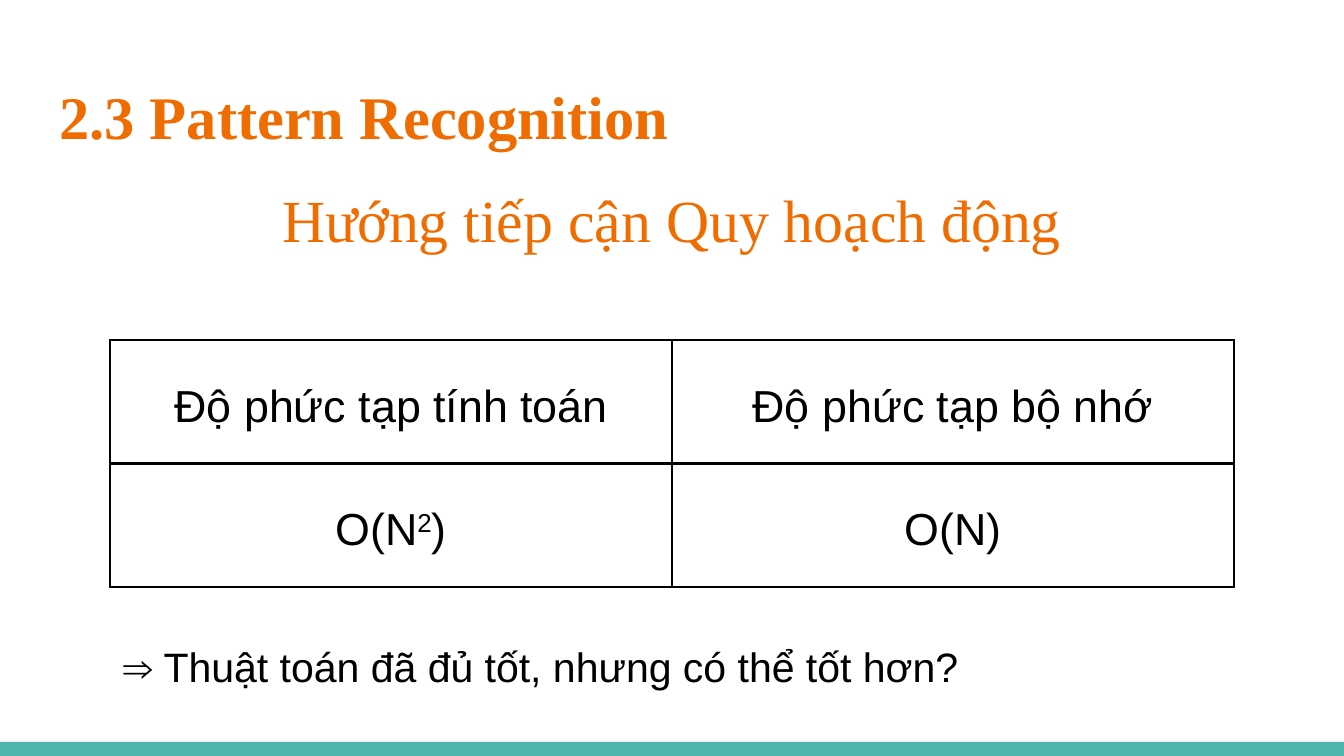
from pptx import Presentation
from pptx.dml.color import RGBColor
from pptx.enum import shapes, text
from pptx.oxml import parse_xml
from pptx.oxml.ns import nsdecls
from pptx.util import Inches, Pt

ORANGE = RGBColor(0xEF, 0x6C, 0x00)
TEAL = RGBColor(0x4D, 0xB6, 0xAC)
BLACK = RGBColor(0, 0, 0)


def write(tf, *parts, size=24, font="Arial", color=BLACK, bold=False,
          align=text.PP_ALIGN.LEFT, spacing=1.0):
    tf.word_wrap = True
    tf.margin_left = tf.margin_right = Inches(0.1)
    tf.margin_top = tf.margin_bottom = Inches(0.1)
    p = tf.paragraphs[0]
    p.alignment = align
    p.line_spacing = spacing
    for part in parts:
        r = p.add_run()
        r.text = part
        r.font.size = Pt(size)
        r.font.name = font
        r.font.bold = bold
        r.font.color.rgb = color
        if part == "2":
            r._r.get_or_add_rPr().set("baseline", "30000")


def border(cell):
    tcPr = cell._tc.get_or_add_tcPr()
    for i, side in enumerate(("lnL", "lnR", "lnT", "lnB")):
        tcPr.insert(i, parse_xml(
            f'<a:{side} {nsdecls("a")} w="{Pt(1.5)}"><a:solidFill>'
            f'<a:srgbClr val="{BLACK}"/></a:solidFill></a:{side}>'))


prs = Presentation()
prs.slide_width = Inches(10)
prs.slide_height = prs.slide_width * 9 // 16
s = prs.slides.add_slide(prs.slide_layouts[5])

bar = s.shapes.add_shape(shapes.MSO_SHAPE.RECTANGLE, Inches(0), Inches(5.52),
                         prs.slide_width, prs.slide_height - Inches(5.52))
bar.shadow.inherit = False
bar.fill.solid()
bar.fill.fore_color.rgb = TEAL
bar.line.fill.background()

title = s.shapes.title
title.left, title.top = Inches(0.34), Inches(0.49)
title.width, title.height = Inches(9.32), Inches(0.77)
title.text_frame.vertical_anchor = text.MSO_ANCHOR.TOP
write(title.text_frame, "2.3 Pattern Recognition", size=32.4,
      font="Times New Roman", color=ORANGE, bold=True)

rows = [
    [["Độ phức tạp tính toán"], ["Độ phức tạp bộ nhớ"]],
    [["O(N", "2", ")"], ["O(N)"]],
]
table = s.shapes.add_table(2, 2, Inches(0.82), Inches(2.53),
                           Inches(8.36), Inches(1.84)).table
table.first_row = table.horz_banding = False
for i, row in enumerate(rows):
    for j, parts in enumerate(row):
        cell = table.cell(i, j)
        cell.fill.background()
        cell.vertical_anchor = text.MSO_ANCHOR.MIDDLE
        cell.margin_left = cell.margin_right = Inches(0.1)
        cell.margin_top = cell.margin_bottom = Inches(0.1)
        write(cell.text_frame, *parts, align=text.PP_ALIGN.CENTER, spacing=1.2)
        border(cell)

conclusion = s.shapes.add_textbox(Inches(0.82), Inches(4.6),
                                  Inches(7.65), Inches(0.57))
write(conclusion.text_frame, "⇒ Thuật toán đã đủ tốt, nhưng có thể tốt hơn?",
      size=22, spacing=1.2)

subtitle = s.shapes.add_textbox(Inches(1.11), Inches(1.26),
                                Inches(7.78), Inches(0.74))
write(subtitle.text_frame, "Hướng tiếp cận Quy hoạch động", size=32,
      font="Times New Roman", color=ORANGE, align=text.PP_ALIGN.CENTER)

prs.save("out.pptx")
